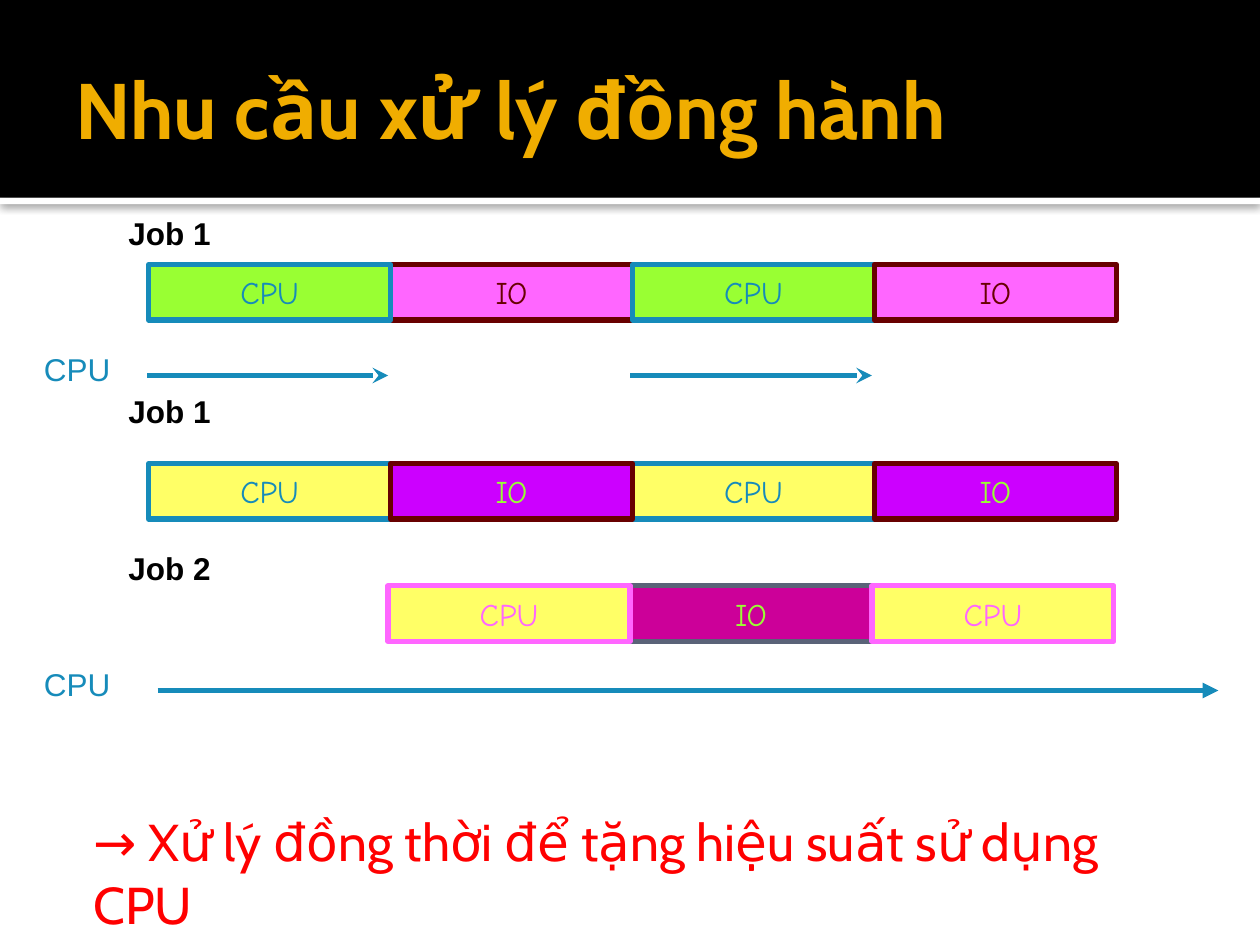
import dataclasses

import lxml.etree
import pptx
import pptx.dml.color
import pptx.enum.shapes
import pptx.enum.text
import pptx.oxml
import pptx.oxml.ns
import pptx.util

Inches = pptx.util.Inches
Pt = pptx.util.Pt
Align = pptx.enum.text.PP_ALIGN
Anchor = pptx.enum.text.MSO_ANCHOR
AutoSize = pptx.enum.text.MSO_AUTO_SIZE
qn = pptx.oxml.ns.qn


@dataclasses.dataclass(frozen=True)
class Theme:
    heading_font: str = "Cabin"
    label_font: str = "Arial"
    box_font: str = "Comic Neue"
    title_size: float = 45
    body_size: float = 29.6
    label_size: float = 18
    line_width: float = 3
    black: str = "000000"
    white: str = "FFFFFF"
    gold: str = "F0AD00"
    red: str = "FF0000"
    blue: str = "168BBA"
    maroon: str = "680000"
    pink: str = "FF66FF"
    green: str = "99FF33"
    yellow: str = "FFFF66"
    violet: str = "CC00FF"
    magenta: str = "CC0099"
    slate: str = "5A6378"


THEME = Theme()
BOX_WIDTH, BOX_HEIGHT = 1.92, 0.44

# Box styles: text, fill, line colour, text colour
FIRST_CPU = ("CPU", THEME.green, THEME.blue, THEME.blue)
FIRST_IO = ("IO", THEME.pink, THEME.maroon, THEME.maroon)
SHARED_CPU = ("CPU", THEME.yellow, THEME.blue, THEME.blue)
SHARED_IO = ("IO", THEME.violet, THEME.maroon, THEME.green)
SECOND_CPU = ("CPU", THEME.yellow, THEME.pink, THEME.pink)
SECOND_IO = ("IO", THEME.magenta, THEME.slate, THEME.green)

# Timelines: left, top, boxes as (column, style) from back to front
TIMELINES = [
    (1.18, 2.1, [(1, FIRST_IO), (2, FIRST_CPU), (3, FIRST_IO), (0, FIRST_CPU)]),
    (1.18, 3.68, [(0, SHARED_CPU), (2, SHARED_CPU), (3, SHARED_IO), (1, SHARED_IO)]),
    (3.08, 4.65, [(1, SECOND_IO), (2, SECOND_CPU), (0, SECOND_CPU)]),
]
JOB_LABELS = [("Job 1", 1.65), ("Job 1", 3.06), ("Job 2", 4.31)]
CPU_LABEL_TOPS = [2.73, 5.23]
# Arrows: start, end, height on the slide, head
ARROWS = [
    (1.17, 3.08, 2.98, "stealth"),
    (5.0, 6.92, 2.98, "stealth"),
    (1.25, 9.67, 5.48, "triangle"),
]


def rgb(colour):
    return pptx.dml.color.RGBColor.from_string(colour)


def place(shape, left, top, width, height):
    shape.left, shape.top = Inches(left), Inches(top)
    shape.width, shape.height = Inches(width), Inches(height)


def set_margins(frame, left, top, right, bottom):
    frame.margin_left, frame.margin_top = Inches(left), Inches(top)
    frame.margin_right, frame.margin_bottom = Inches(right), Inches(bottom)


def set_text(frame, text, font, size, colour, bold=False, align=Align.LEFT):
    frame.text = text
    paragraph = frame.paragraphs[0]
    paragraph.alignment = align
    paragraph.space_before = Pt(0)
    run_font = paragraph.runs[0].font
    run_font.name, run_font.size, run_font.bold = font, Pt(size), bold
    run_font.color.rgb = rgb(colour)
    return paragraph


def add_rectangle(slide, left, top, width, height, fill):
    shape = slide.shapes.add_shape(
        pptx.enum.shapes.MSO_SHAPE.RECTANGLE,
        Inches(left), Inches(top), Inches(width), Inches(height))
    shape.shadow.inherit = False
    shape.fill.solid()
    shape.fill.fore_color.rgb = rgb(fill)
    shape.line.fill.background()
    return shape


def add_header(slide):
    strip = add_rectangle(slide, 0, 1.57, 10, 0.05, THEME.white)
    band = add_rectangle(slide, 0, 0, 10, 1.57, THEME.black)
    # Soft shadow below the white strip
    effects = strip.element.spPr.find(qn("a:effectLst"))
    shadow = lxml.etree.SubElement(
        effects, qn("a:outerShdw"), blurRad=str(Pt(5)), dist=str(Pt(0.8)),
        dir="5400000", algn="tl", rotWithShape="0")
    colour = lxml.etree.SubElement(shadow, qn("a:srgbClr"), val=THEME.black)
    lxml.etree.SubElement(colour, qn("a:alpha"), val="60000")
    # Both bars go behind the placeholders
    title = slide.shapes.title.element
    title.addprevious(strip.element)
    title.addprevious(band.element)


def fill_title(slide, text):
    title = slide.shapes.title
    place(title, 0.5, 0.17, 9, 1.37)
    frame = title.text_frame
    set_margins(frame, 0.1, 0.05, 0.05, 0.05)
    frame.vertical_anchor = Anchor.MIDDLE
    frame.auto_size = AutoSize.NONE
    set_text(frame, text, THEME.heading_font, THEME.title_size, THEME.gold, bold=True)


def fill_body(slide, text):
    body = slide.placeholders[1]
    place(body, 0.5, 6.33, 9, 0.67)
    frame = body.text_frame
    set_margins(frame, 0.06, 0.1, 0.1, 0.05)
    frame.vertical_anchor = Anchor.TOP
    frame.auto_size = AutoSize.NONE
    paragraph = set_text(frame, text, THEME.heading_font, THEME.body_size, THEME.red)
    properties = paragraph.runs[0].font
    properties.bold = False
    # Indented conclusion without a bullet
    settings = paragraph._p.get_or_add_pPr()
    settings.set("marL", str(Inches(0.18)))
    settings.set("indent", "0")
    lxml.etree.SubElement(settings, qn("a:buNone"))


def add_box(slide, left, top, style):
    text, fill, line, colour = style
    box = add_rectangle(slide, left, top, BOX_WIDTH, BOX_HEIGHT, fill)
    box.line.color.rgb = rgb(line)
    box.line.width = Pt(THEME.line_width)
    box.text_frame.vertical_anchor = Anchor.MIDDLE
    set_text(box.text_frame, text, THEME.box_font, THEME.label_size, colour,
             align=Align.CENTER)


def add_label(slide, text, left, top, width, colour, bold=False):
    label = slide.shapes.add_textbox(
        Inches(left), Inches(top), Inches(width), Inches(BOX_HEIGHT))
    label.text_frame.word_wrap = False
    set_text(label.text_frame, text, THEME.label_font, THEME.label_size, colour, bold)


def add_arrow(slide, start, end, height, head):
    arrow = slide.shapes.add_connector(
        pptx.enum.shapes.MSO_CONNECTOR.STRAIGHT,
        Inches(start), Inches(height), Inches(end), Inches(height))
    arrow.line.color.rgb = rgb(THEME.blue)
    arrow.line.width = Pt(THEME.line_width)
    lxml.etree.SubElement(arrow.line._get_or_add_ln(), qn("a:tailEnd"), type=head)
    lxml.etree.SubElement(arrow.element.spPr, qn("a:effectLst"))


def main():
    presentation = pptx.Presentation()
    presentation.slide_width, presentation.slide_height = Inches(10), Inches(7.5)
    slide = presentation.slides.add_slide(presentation.slide_layouts[1])

    # Header and conclusion
    add_header(slide)
    fill_title(slide, "Nhu cầu xử lý đồng hành")
    fill_body(slide, "→ Xử lý đồng thời để tặng hiệu suất sử dụng CPU")

    # Job timelines
    for left, top, boxes in TIMELINES:
        for column, style in boxes:
            add_box(slide, left + column * BOX_WIDTH, top, style)
    for text, top in JOB_LABELS:
        add_label(slide, text, 0.92, top, 1.01, THEME.black, bold=True)

    # CPU usage
    for top in CPU_LABEL_TOPS:
        add_label(slide, "CPU", 0.25, top, 0.79, THEME.blue)
    for arrow in ARROWS:
        add_arrow(slide, *arrow)

    presentation.save("out.pptx")


if __name__ == "__main__":
    main()
